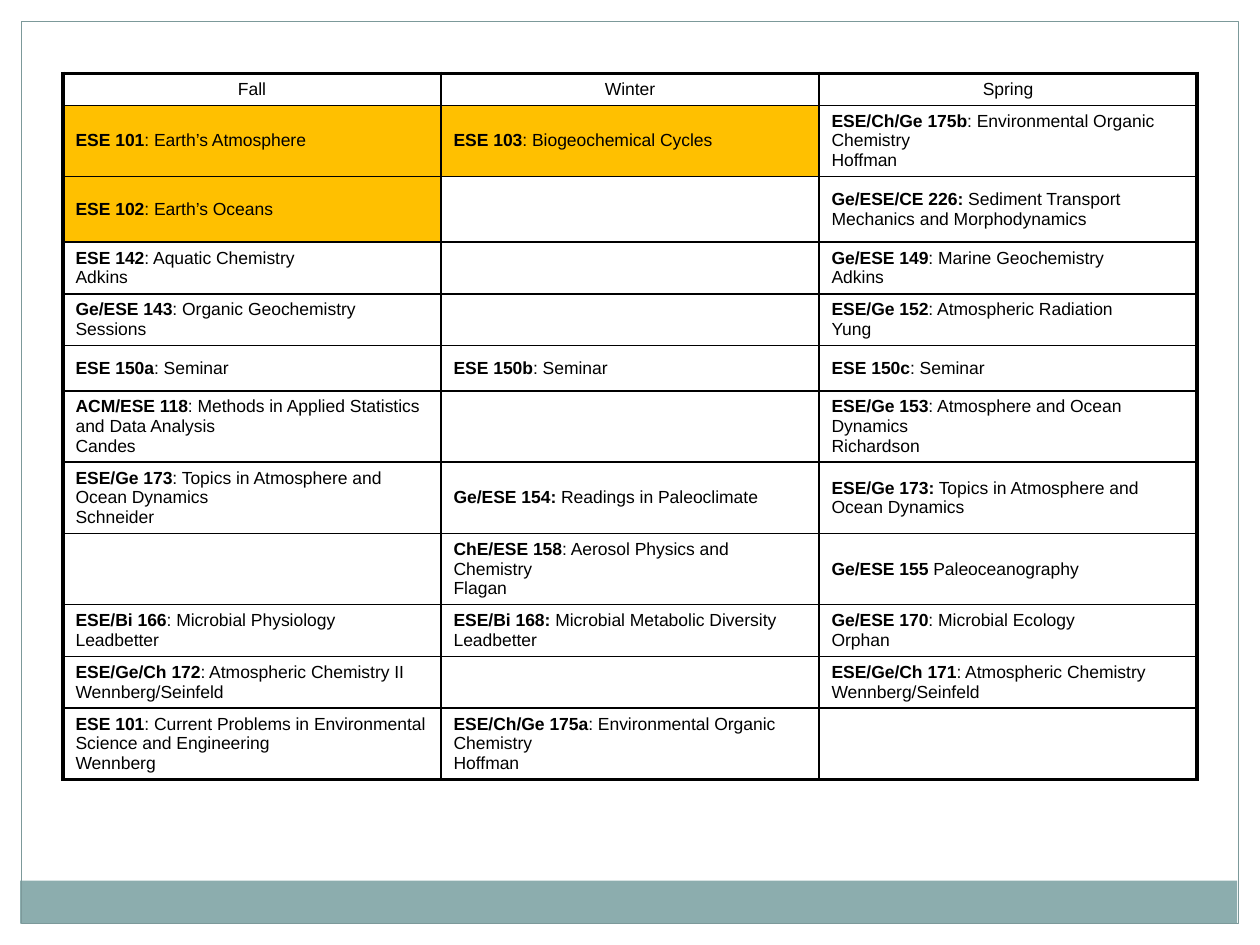
"""Build a slide with a course schedule table for three terms."""
from lxml import etree
from pptx import Presentation
from pptx.dml.color import RGBColor
from pptx.enum.shapes import MSO_SHAPE
from pptx.enum.text import MSO_ANCHOR, PP_ALIGN
from pptx.oxml.ns import qn
from pptx.util import Inches, Pt

RECTANGLE = MSO_SHAPE.RECTANGLE
MIDDLE, BOTTOM = MSO_ANCHOR.MIDDLE, MSO_ANCHOR.BOTTOM
LEFT, CENTER = PP_ALIGN.LEFT, PP_ALIGN.CENTER

COLORS = {"text": "000000", "border": "000000", "core": "FFC000",
          "margin": "FFFFFF", "band": "8CADAE", "frame": "7C999A"}
PANELS = [
    ("margin", 0, 0, 10, 0.17),
    ("margin", 9.83, 0, 0.17, 7.5),
    ("margin", 0, 0, 0.17, 7.5),
    ("band", 0.16, 6.99, 9.66, 0.34),
]
TERMS = ["Fall", "Winter", "Spring"]
COURSES = [
    [("ESE 101", ": Earth’s Atmosphere"),
     ("ESE 103", ": Biogeochemical Cycles"),
     ("ESE/Ch/Ge 175b", ": Environmental Organic Chemistry", "Hoffman")],
    [("ESE 102", ": Earth’s Oceans"),
     None,
     ("Ge/ESE/CE 226:", " Sediment Transport Mechanics and Morphodynamics")],
    [("ESE 142", ": Aquatic Chemistry\nAdkins"),
     None,
     ("Ge/ESE 149", ": Marine Geochemistry\nAdkins")],
    [("Ge/ESE 143", ": Organic Geochemistry\nSessions"),
     None,
     ("ESE/Ge 152", ": Atmospheric Radiation\nYung")],
    [("ESE 150a", ": Seminar"),
     ("ESE 150b", ": Seminar"),
     ("ESE 150c", ": Seminar")],
    [("ACM/ESE 118", ": Methods in Applied Statistics and Data Analysis", "Candes"),
     None,
     ("ESE/Ge 153", ": Atmosphere and Ocean Dynamics\nRichardson")],
    [("ESE/Ge 173", ": Topics in Atmosphere and Ocean Dynamics\nSchneider"),
     ("Ge/ESE 154:", " Readings in Paleoclimate"),
     ("ESE/Ge 173:", " Topics in Atmosphere and Ocean Dynamics")],
    [None,
     ("ChE/ESE 158", ": Aerosol Physics and Chemistry\nFlagan"),
     ("Ge/ESE 155 ", "Paleoceanography")],
    [("ESE/Bi 166", ": Microbial Physiology\nLeadbetter"),
     ("ESE/Bi 168:", " Microbial Metabolic Diversity", "Leadbetter"),
     ("Ge/ESE 170", ": Microbial Ecology\nOrphan")],
    [("ESE/Ge/Ch 172", ": Atmospheric Chemistry II\nWennberg/Seinfeld"),
     None,
     ("ESE/Ge/Ch 171", ": Atmospheric Chemistry\nWennberg/Seinfeld")],
    [("ESE 101", ": Current Problems in Environmental Science and Engineering", "Wennberg"),
     ("ESE/Ch/Ge 175a", ": Environmental Organic Chemistry", "Hoffman"),
     None],
]
CORE_CELLS = {(1, 0), (1, 1), (2, 0)}
ROW_HEIGHTS = [0.18, 0.32, 0.52, 0.41, 0.41, 0.36] + [0.41] * 6
COLUMN_WIDTH, TABLE_HEIGHT = 3, 5.88
TEXT_FORMAT = {"name": "Arial", "size": Pt(10)}


def color(name):
    return RGBColor.from_string(COLORS[name])


def add_rectangle(page, *place):
    box = page.shapes.add_shape(RECTANGLE, *map(Inches, place))
    box.shadow.inherit = False
    return box


def add_span(para, text, bold=False):
    for index, line in enumerate(text.split("\n")):
        if index:
            para.add_line_break()
        span = para.add_run()
        span.text = line
        for key, value in {**TEXT_FORMAT, "bold": bold}.items():
            setattr(span.font, key, value)
        span.font.color.rgb = color("text")


def set_borders(cell, widths):
    properties = cell._tc.get_or_add_tcPr()
    for side, width in widths.items():
        line = etree.SubElement(properties, qn(f"a:ln{side}"), w=str(Pt(width)))
        fill = etree.SubElement(line, qn("a:solidFill"))
        etree.SubElement(fill, qn("a:srgbClr"), val=COLORS["border"])


def write_course(cell, course):
    code, title, *teachers = course
    para = cell.text_frame.paragraphs[0]
    para.alignment = LEFT
    add_span(para, code, bold=True)
    add_span(para, title)
    for teacher in teachers:
        add_span(cell.text_frame.add_paragraph(), teacher)


def write_term(cell, term):
    para = cell.text_frame.paragraphs[0]
    para.alignment = CENTER
    add_span(para, term)


deck = Presentation()
deck.slide_width, deck.slide_height = Inches(10), Inches(7.5)
page = deck.slides.add_slide(deck.slide_layouts[6])

for name, *place in PANELS:
    panel = add_rectangle(page, *place)
    panel.fill.solid()
    panel.fill.fore_color.rgb = color(name)
    panel.line.fill.background()

frame = add_rectangle(page, 0.17, 0.17, 9.66, 7.16)
frame.fill.background()
frame.line.color.rgb = color("frame")
frame.line.width = Pt(0.75)

row_count, column_count = len(ROW_HEIGHTS), len(TERMS)
holder = page.shapes.add_table(
    row_count, column_count, Inches(0.5), Inches(0.58),
    Inches(COLUMN_WIDTH * column_count), Inches(TABLE_HEIGHT))
schedule = holder.table
schedule.first_row = schedule.horz_banding = False
for column in schedule.columns:
    column.width = Inches(COLUMN_WIDTH)
for row, height in zip(schedule.rows, ROW_HEIGHTS):
    row.height = Inches(height)
holder.height = Inches(TABLE_HEIGHT)

for row_index, entries in enumerate([TERMS] + COURSES):
    for column_index, entry in enumerate(entries):
        cell = schedule.cell(row_index, column_index)
        outer = {"L": column_index == 0, "R": column_index == column_count - 1,
                 "T": row_index == 0, "B": row_index == row_count - 1}
        set_borders(cell, {side: 2 if edge else 1 for side, edge in outer.items()})
        if (row_index, column_index) in CORE_CELLS:
            cell.fill.solid()
            cell.fill.fore_color.rgb = color("core")
        else:
            cell.fill.background()
        cell.vertical_anchor = MIDDLE if row_index else BOTTOM
        if row_index == 0:
            write_term(cell, entry)
        elif entry:
            write_course(cell, entry)

deck.save("out.pptx")
